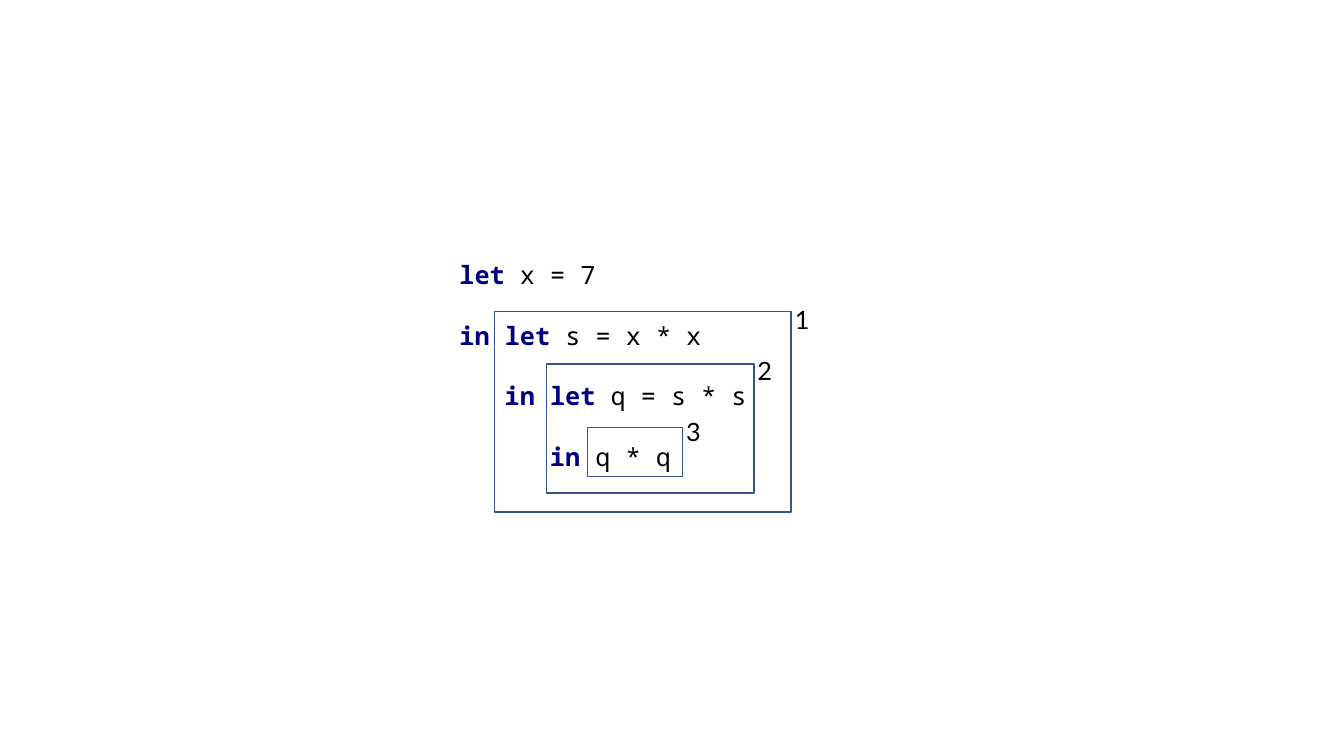
import pptx
import pptx.util
import pptx.dml.color
import pptx.enum.shapes
import pptx.enum.text

Cm, Pt = pptx.util.Cm, pptx.util.Pt
RGB = pptx.dml.color.RGBColor.from_string

THEME = {
    "keyword": "000084", "text": "000000", "line": "325491",
    "code_font": "Noto Sans Mono", "label_font": "Lato",
    "size": 18, "line_width": 1,
}

CODE = [
    (0, "let", " x = 7"),
    (0, "in let", " s = x * x"),
    (1, "in let", " q = s * s"),
    (2, "in", " q * q"),
]
CODE_BOX = (11.33, 5.66, 13.77, 7.95)
INDENT = 1.14

SCOPES = [
    ("3", (14.81, 10.77, 2.39, 1.24), 0.41),
    ("2", (13.77, 9.17, 5.23, 3.25), 0.33),
    ("1", (12.47, 7.85, 7.47, 5.05), 0.3),
]
LABEL_OVERLAP, LABEL_W, LABEL_H = 0.16, 0.88, 1.03


def add_run(p, text, font, color="text", bold=False):
    r = p.add_run()
    r.text = text
    r.font.name = THEME[font]
    r.font.size = Pt(THEME["size"])
    r.font.bold = bold
    r.font.color.rgb = RGB(THEME[color])


def add_text(shapes, box, lines, font, spacing=1.0):
    tf = shapes.add_textbox(*map(Cm, box)).text_frame
    tf.word_wrap = True
    tf.auto_size = pptx.enum.text.MSO_AUTO_SIZE.SHAPE_TO_FIT_TEXT
    for i, (level, keyword, rest) in enumerate(lines):
        p = tf.add_paragraph() if i else tf.paragraphs[0]
        p.line_spacing = spacing
        if level:
            p._p.get_or_add_pPr().set("marL", str(Cm(level * INDENT)))
        if keyword:
            add_run(p, keyword, font, color="keyword", bold=True)
        add_run(p, rest, font)


def add_scope(s, label, box, lift):
    group = s.shapes.add_group_shape()
    sp = group.shapes.add_shape(
        pptx.enum.shapes.MSO_SHAPE.RECTANGLE, *map(Cm, box))
    sp.shadow.inherit = False
    sp.fill.background()
    sp.line.color.rgb = RGB(THEME["line"])
    sp.line.width = Pt(THEME["line_width"])
    x, y, w, h = box
    label_box = (x + w - LABEL_OVERLAP, y - lift, LABEL_W, LABEL_H)
    add_text(group.shapes, label_box, [(0, "", label)], "label_font")


prs = pptx.Presentation()
prs.slide_width, prs.slide_height = Cm(33.87), Cm(19.05)
s = prs.slides.add_slide(prs.slide_layouts[6])
add_text(s.shapes, CODE_BOX, CODE, "code_font", spacing=2.0)
for scope in SCOPES:
    add_scope(s, *scope)
prs.save("out.pptx")
